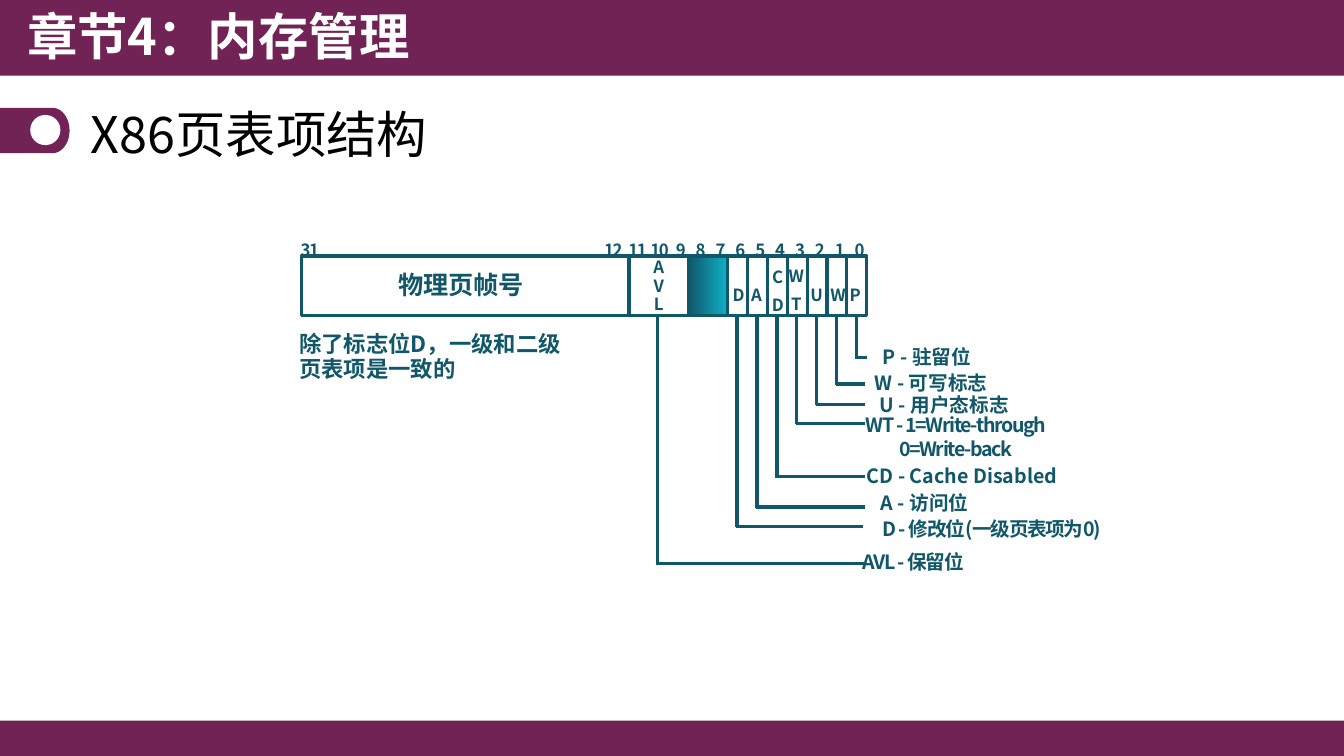
from dataclasses import dataclass
from math import cos, pi, sin

from lxml import etree
from pptx import Presentation
from pptx.dml.color import RGBColor
from pptx.enum.shapes import MSO_CONNECTOR, MSO_SHAPE
from pptx.enum.text import MSO_ANCHOR, MSO_AUTO_SIZE, PP_ALIGN
from pptx.oxml.ns import qn
from pptx.shapes.autoshape import Shape
from pptx.util import Inches, Pt

RECT, OVAL = MSO_SHAPE.RECTANGLE, MSO_SHAPE.OVAL
LINE = MSO_CONNECTOR.STRAIGHT
LEFT, CENTER = PP_ALIGN.LEFT, PP_ALIGN.CENTER
TOP, MIDDLE = MSO_ANCHOR.TOP, MSO_ANCHOR.MIDDLE
GROW, FIXED = MSO_AUTO_SIZE.SHAPE_TO_FIT_TEXT, MSO_AUTO_SIZE.NONE

# The grid has ten columns and ten rows to the inch.
UNIT = Inches(0.1)
COLS, ROWS = 133.33, 75
ROW_TOP, ROW_HIGH = 25.4, 5.9
BIT = 1.97
STEM_TOP, STEM_ZERO, STEM_STEP = 31.2, 85, 1.98


@dataclass(frozen=True)
class Theme:
    font: str = "Noto Sans CJK SC"
    plum: RGBColor = RGBColor(0x71, 0x23, 0x55)
    teal: RGBColor = RGBColor(0x11, 0x57, 0x6A)
    cyan: RGBColor = RGBColor(0x0E, 0xB1, 0xC8)
    white: RGBColor = RGBColor(0xFF, 0xFF, 0xFF)
    black: RGBColor = RGBColor(0, 0, 0)
    head: int = 36
    field: int = 18
    note: int = 16
    flag: int = 14
    tag: int = 12
    stroke: float = 2.25


@dataclass(frozen=True)
class Field:
    left: float
    width: float
    shade: bool = False


@dataclass(frozen=True)
class Tag:
    """Letters, one a line, set over a field; lead is the line pitch in points."""
    text: str
    left: float
    top: float = 26.3
    width: float = 3.1
    lead: int = 25


@dataclass(frozen=True)
class Flag:
    """A legend entry, joined to its bit by an elbow at the given level."""
    bit: int
    text: str
    left: float
    top: float
    width: float
    level: float
    end: float = 85.8
    track: int = 0
    lead: float = 0.95


THEME = Theme()

FIELDS = [Field(72.2 + BIT * n, BIT) for n in range(7)] + [
    Field(68.3, 3.9, shade=True),
    Field(62.4, 5.9),
    Field(29.9, 32.5),
]

TAGS = [
    Tag("A\nV\nL", 63.8, 25.9, lead=8),
    Tag("D", 71.7),
    Tag("A", 73.5),
    Tag("C\nD", 75.6, 25.9, lead=15),
    Tag("W\nT", 77.1, 25.8, 3.8, lead=15),
    Tag("U", 79.4),
    Tag("W", 81.4),
    Tag("P", 83.3),
]

BITS = [Tag(str(n), 83.8 - BIT * n, 21.8, 2.3) for n in range(10)] + [
    Tag("10", 63.1, 21.8, 4.7),
    Tag("11", 60.5, 21.8, 5.5),
    Tag("12", 58.5, 21.8, 4.7),
    Tag("31", 28.4, 21.8, 4.7),
]

FLAGS = [
    Flag(0, "P - 驻留位", 86.6, 33.9, 14.8, 35.5, end=86),
    Flag(1, "W - 可写标志", 85.8, 36.5, 24.2, 38.1),
    Flag(2, "U - 用户态标志", 86.3, 38.7, 24.2, 40.1),
    Flag(3, "WT - 1=Write-through\n0=Write-back", 84.9, 41.4, 32.8, 42,
         track=-1, lead=Pt(10)),
    Flag(4, "CD - Cache Disabled", 85, 45.7, 28.9, 47.3),
    Flag(5, "A - 访问位", 86.4, 48.4, 24.2, 50.3),
    Flag(6, "D - 修改位(一级页表项为0)", 86.6, 51, 31.3, 52.2, end=85.6, track=-1),
    Flag(10, "AVL - 保留位", 84.6, 54.2, 31.2, 55.9, track=-1),
]


def grid(*cells: float) -> list[int]:
    return [round(cell * UNIT) for cell in cells]


def paint(shape: Shape, fill: RGBColor) -> None:
    shape.shadow.inherit = False
    shape.fill.solid()
    shape.fill.fore_color.rgb = fill
    shape.line.fill.background()


def write(shapes, text: str, box: tuple[float, float, float, float], *, size: int,
          color: RGBColor = THEME.teal, bold: bool = True, align: PP_ALIGN = LEFT,
          lead: float | None = None, gap: float = 0, track: int = 0,
          dent: float = 0, anchor: MSO_ANCHOR = TOP,
          fit: MSO_AUTO_SIZE = GROW) -> None:
    """Add a text box; gap and dent apply to every line after the first."""
    frame = shapes.add_textbox(*grid(*box)).text_frame
    frame.word_wrap = True
    frame.auto_size = fit
    frame.vertical_anchor = anchor
    for n, words in enumerate(text.split("\n")):
        para = frame.add_paragraph() if n else frame.paragraphs[0]
        para.alignment = align
        if lead is not None:
            para.line_spacing = lead
        if n:
            para.space_before = Pt(gap)
            if dent:
                props = para._p.get_or_add_pPr()
                props.set("marL", str(grid(dent)[0]))
                props.set("indent", "0")
        run = para.add_run()
        run.text = words
        font = run.font
        font.size, font.bold, font.name = Pt(size), bold, THEME.font
        font.color.rgb = color
        props = run._r.get_or_add_rPr()
        etree.SubElement(props, qn("a:ea"), typeface=THEME.font)
        if track:
            props.set("spc", str(track * 100))


def draw_line(shapes, *ends: float) -> None:
    line = shapes.add_connector(LINE, *grid(*ends))
    line.line.color.rgb = THEME.teal
    line.line.width = Pt(THEME.stroke)
    etree.SubElement(line._element.spPr, qn("a:effectLst"))


def draw_field(shapes, field: Field) -> None:
    cell = shapes.add_shape(RECT, *grid(field.left, ROW_TOP, field.width, ROW_HIGH))
    cell.shadow.inherit = False
    cell.line.color.rgb = THEME.teal
    cell.line.width = Pt(THEME.stroke)
    if field.shade:
        cell.fill.gradient()
        cell.fill.gradient_angle = 0
        for stop, color in zip(cell.fill.gradient_stops, (THEME.teal, THEME.cyan)):
            stop.color.rgb = color
    else:
        cell.fill.background()


def draw_tag(shapes, tag: Tag) -> None:
    write(shapes, tag.text, (tag.left, tag.top, tag.width, 4), size=THEME.tag,
          align=CENTER, lead=Pt(tag.lead), gap=5, track=-1)


def draw_flag(shapes, flag: Flag) -> None:
    write(shapes, flag.text, (flag.left, flag.top, flag.width, 3.2),
          size=THEME.flag, lead=flag.lead, gap=7, track=flag.track, dent=3.3)
    stem = STEM_ZERO - STEM_STEP * flag.bit
    draw_line(shapes, stem, STEM_TOP, stem, flag.level + 0.1)
    draw_line(shapes, stem - 0.1, flag.level, flag.end, flag.level)


def draw_frame(shapes) -> None:
    """Draw the two bars and the round-ended marker beside the heading."""
    for top, high in ((71.5, 3.5), (0, 7.5)):
        paint(shapes.add_shape(RECT, *grid(0, top, COLS, high)), THEME.plum)
    turns = [pi * n / 24 - pi / 2 for n in range(25)]
    curve = [grid(5.2 + 1.7 * cos(t), 12.95 + 2.25 * sin(t)) for t in turns]
    pen = shapes.build_freeform(*grid(0, 10.7))
    pen.add_line_segments([*curve, grid(0, 15.2)], close=True)
    paint(pen.convert_to_shape(), THEME.plum)
    paint(shapes.add_shape(OVAL, *grid(3, 11.4, 3, 3)), THEME.white)


def main() -> None:
    deck = Presentation()
    deck.slide_width, deck.slide_height = grid(COLS, ROWS)
    shapes = deck.slides.add_slide(deck.slide_layouts[6]).shapes
    draw_frame(shapes)
    for field in FIELDS:
        draw_field(shapes, field)
    write(shapes, "物理页帧号", (27, 26.4, 37.5, 3.9), size=THEME.field,
          align=CENTER, lead=0.95)
    for tag in TAGS + BITS:
        draw_tag(shapes, tag)
    write(shapes, "除了标志位D，一级和二级页表项是一致的", (28.7, 32.4, 28.9, 6.1),
          size=THEME.note, lead=0.95)
    for flag in FLAGS:
        draw_flag(shapes, flag)
    write(shapes, "章节4：内存管理", (1.7, 0, 66.7, 7.7), size=THEME.head,
          color=THEME.white, fit=FIXED)
    write(shapes, "X86页表项结构", (8, 9.5, 115.3, 7.5), size=THEME.head,
          color=THEME.black, bold=False, anchor=MIDDLE, fit=FIXED)
    deck.save("out.pptx")


if __name__ == "__main__":
    main()
